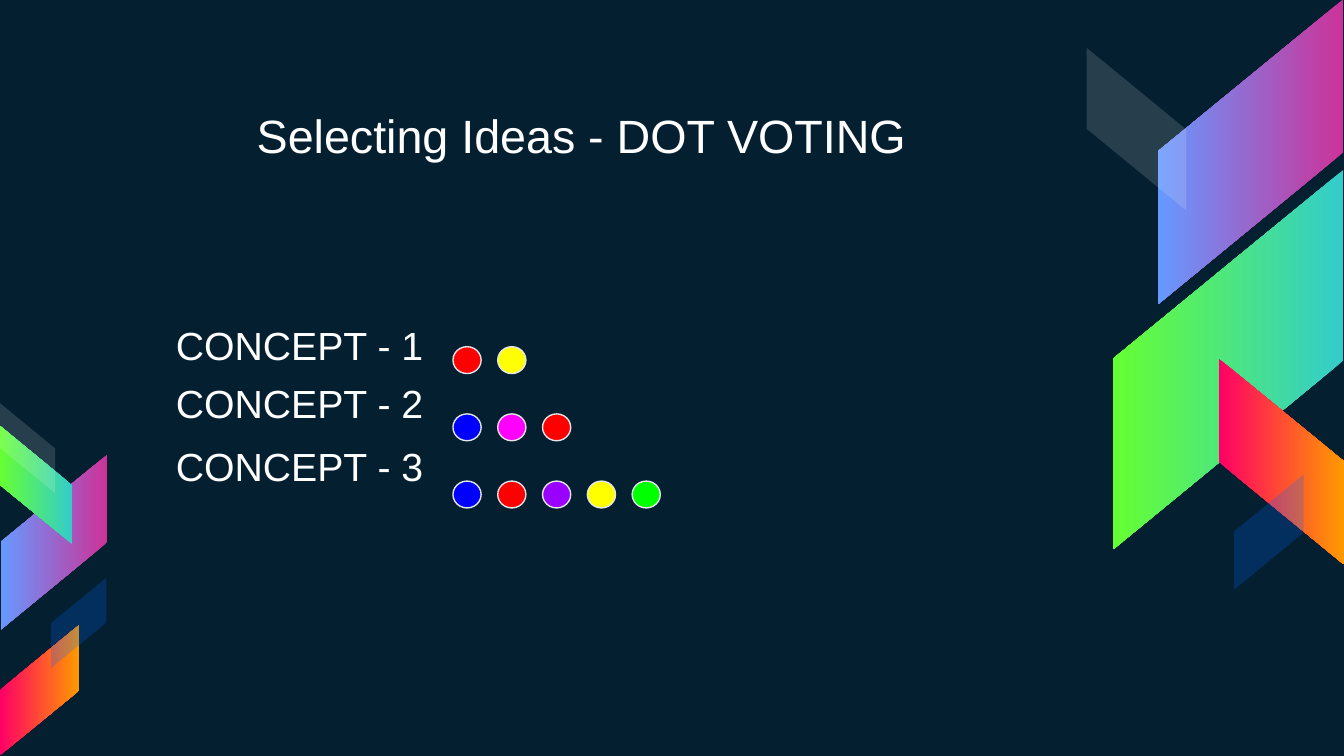
from pptx import Presentation
from pptx.dml.color import RGBColor
from pptx.enum.shapes import MSO_SHAPE as Shape
from pptx.enum.text import MSO_ANCHOR as Anchor
from pptx.oxml.ns import qn
from pptx.util import Inches, Pt
from lxml.etree import SubElement

DARK, WHITE, RIM = "041F30", "FFFFFF", "E3E7EC"
PINK = ("CC3399", "6699FF")
GREEN = ("33CCCC", "66FF33")
FIRE = ("FF0066", "FF9900")
MIST = ("FFFFFF", 14)
NAVY = ("0066FF", 23)
RED, YELLOW, BLUE = "FF0000", "FFFF00", "0000FF"
MAGENTA, PURPLE, LIME = "FF00FF", "9900FF", "00FF00"

# left, top, width, height, turn, flipped, paint
BANDS = [
    (8.17, 0.44, 2.27, 1.38, 90, True, PINK),
    (7.73, 1.82, 2.82, 1.71, 90, True, GREEN),
    (8.77, 2.97, 1.53, 0.93, 270, False, FIRE),
    (7.85, 0.59, 1.21, 0.74, 270, False, MIST),
    (9.01, 3.7, 0.86, 0.52, 270, True, NAVY),
    (-0.25, 3.64, 1.3, 0.79, 90, True, PINK),
    (-0.17, 3.34, 0.88, 0.54, 90, False, GREEN),
    (-0.19, 4.84, 0.97, 0.59, 270, True, FIRE),
    (-0.13, 3.13, 0.67, 0.41, 270, False, MIST),
    (0.25, 4.43, 0.67, 0.41, 270, True, NAVY),
]

VOTES = [
    ("CONCEPT - 1", [RED, YELLOW]),
    ("CONCEPT - 2", [BLUE, MAGENTA, RED]),
    ("CONCEPT - 3", [BLUE, RED, PURPLE, YELLOW, LIME]),
]


def rgb(code):
    return RGBColor.from_string(code)


class Deck:
    font = "Arial"
    ink = WHITE

    def __init__(self, wide, high):
        self.prs = Presentation()
        self.prs.slide_width, self.prs.slide_height = Inches(wide), Inches(high)

    def page(self, color):
        self.slide = self.prs.slides.add_slide(self.prs.slide_layouts[6])
        fill = self.slide.background.fill
        fill.solid()
        fill.fore_color.rgb = rgb(color)

    def shape(self, kind, *box):
        item = self.slide.shapes.add_shape(kind, *map(Inches, box))
        item.shadow.inherit = False
        return item

    def band(self, x, y, w, h, turn, flip, paint):
        """Add a slanted band, painted with two colours or a colour and its opacity."""
        item = self.shape(Shape.PARALLELOGRAM, x, y, w, h)
        item.adjustments[0] = 0.82
        item.rotation = turn
        if flip:
            item._element.spPr.find(qn("a:xfrm")).set("flipH", "1")
        item.line.fill.background()
        first, last = paint
        if isinstance(last, str):
            item.fill.gradient()
            item.fill.gradient_angle = 270
            for stop, color in zip(item.fill.gradient_stops, paint):
                stop.color.rgb = rgb(color)
        else:
            item.fill.solid()
            item.fill.fore_color.rgb = rgb(first)
            tint = item._element.spPr.find(".//" + qn("a:srgbClr"))
            SubElement(tint, qn("a:alpha"), val=str(last * 1000))

    def dot(self, x, y, color):
        item = self.shape(Shape.OVAL, x, y, 0.21, 0.2)
        item.fill.solid()
        item.fill.fore_color.rgb = rgb(color)
        item.line.color.rgb = rgb(RIM)
        item.line.width = Pt(0.75)

    def text(self, box, lines, size, gaps, anchor=Anchor.TOP, inset=0.1):
        frame = self.slide.shapes.add_textbox(*map(Inches, box)).text_frame
        frame.word_wrap = True
        frame.vertical_anchor = anchor
        frame.margin_left = Inches(inset)
        frame.margin_right = frame.margin_top = frame.margin_bottom = Inches(0.1)
        frame.text = "\n".join(lines)
        for para, gap in zip(frame.paragraphs, gaps):
            para.space_before = Pt(gap)
            for run in para.runs:
                run.font.name, run.font.size = self.font, Pt(size)
                run.font.color.rgb = rgb(self.ink)


def main():
    deck = Deck(10, 10 * 9 / 16)
    deck.page(DARK)
    for band in BANDS:
        deck.band(*band)
    deck.text((0.56, 0.18, 6.68, 1.13), ["Selecting Ideas - DOT VOTING"], 25,
              [0], Anchor.BOTTOM, inset=1.35)
    deck.text((1.21, 2.29, 6.53, 2.54), [name for name, _ in VOTES], 21, [0, 6, 8.5])
    for row, (_, dots) in enumerate(VOTES):
        for col, color in enumerate(dots):
            deck.dot(3.37 + col / 3, 2.58 + row * 0.5, color)
    deck.prs.save("out.pptx")


if __name__ == "__main__":
    main()
